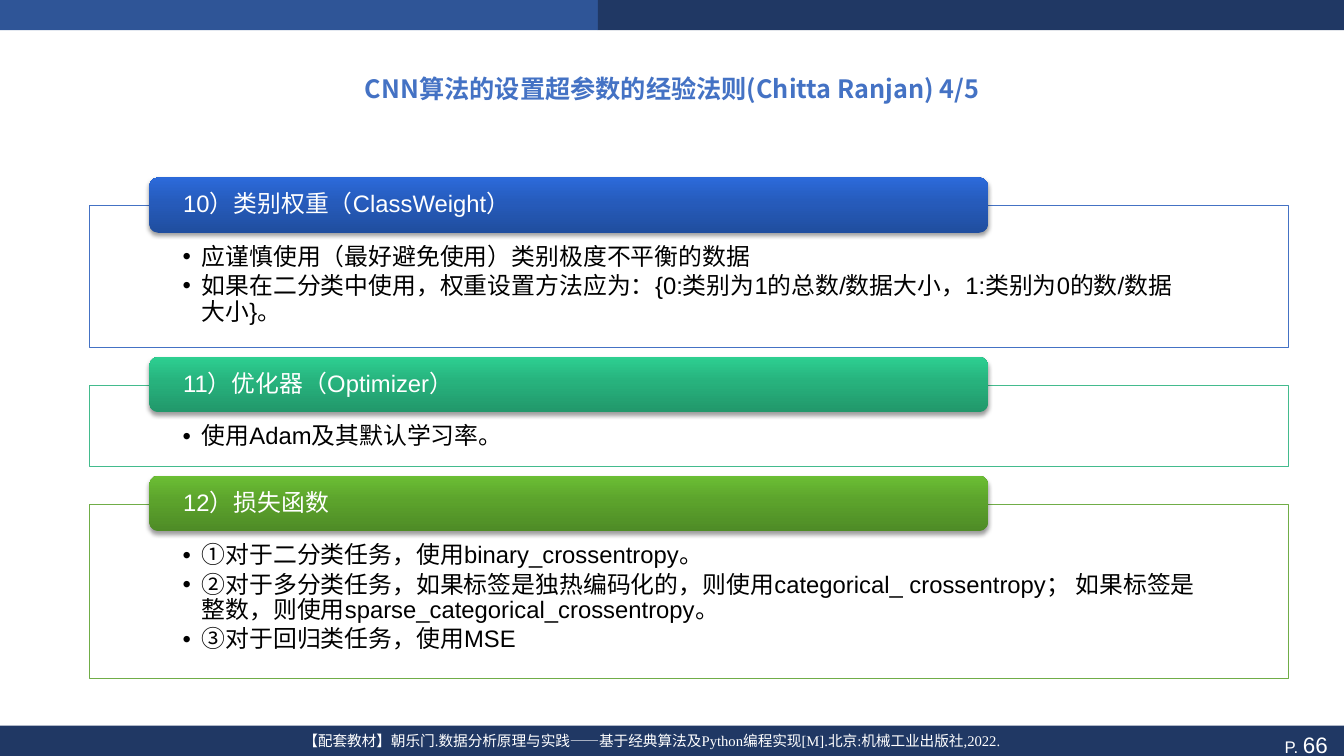
"""Build the slide on rules of thumb for CNN hyperparameters, part 4 of 5."""
from copy import deepcopy

from lxml.etree import SubElement
from pptx import Presentation
from pptx.dml.color import RGBColor
from pptx.enum.shapes import MSO_SHAPE as Shape
from pptx.enum.text import MSO_ANCHOR as Anchor, MSO_AUTO_SIZE as AutoSize, PP_ALIGN as Align
from pptx.oxml.ns import qn
from pptx.util import Inches, Pt

CJK = "Noto Sans CJK SC"


def rgb(code):
    return RGBColor.from_string(code)


def write(paragraph, text, size, color, latin="Arial", bold=False):
    run = paragraph.add_run()
    run.text = text
    formats = {"size": Pt(size), "name": latin, "bold": bold}
    for key, value in formats.items():
        setattr(run.font, key, value)
    run.font.color.rgb = rgb(color)
    SubElement(run.font._element, qn("a:ea"), typeface=CJK)


deck = Presentation()
deck.slide_width, deck.slide_height = Inches(13.33), Inches(7.5)
slide = deck.slides.add_slide(deck.slide_layouts[5])
shapes = slide.shapes

bands = [
    (0, 0, 5.93, 0.3, "2F5597"),
    (5.93, 0, 7.4, 0.3, "203864"),
    (0, 7.2, 13.33, 0.37, "203864"),
]
for *place, color in bands:
    band = shapes.add_shape(Shape.RECTANGLE, *map(Inches, place))
    band.shadow.inherit = False
    band.fill.solid()
    band.fill.fore_color.rgb = rgb(color)
    band.line.fill.background()
page_number = band.text_frame.paragraphs[0]
page_number.alignment = Align.RIGHT
write(page_number, "P. ", 12, "FFFFFF")
write(page_number, "66 ", 16, "FFFFFF")

citation = shapes.add_textbox(*map(Inches, (0.6, 7.21, 11.73, 0.35))).text_frame
citation.word_wrap = True
citation_line = citation.paragraphs[0]
citation_line.alignment = Align.CENTER
citation_props = citation_line._p.get_or_add_pPr()
citation_props.set("marL", str(Inches(0.38)))
citation_props.set("indent", str(Inches(-0.38)))
write(citation_line,
      "【配套教材】朝乐门.数据分析原理与实践——基于经典算法及Python编程实现[M].北京:机械工业出版社,2022.",
      10.5, "FFFFFF", "Times New Roman")

title = shapes.title
title.left, title.top, title.width, title.height = map(Inches, (0.44, 0.43, 12.45, 0.9))
title.text_frame.auto_size = AutoSize.NONE
title.text_frame.vertical_anchor = Anchor.MIDDLE
title_line = title.text_frame.paragraphs[0]
title_line.alignment = Align.CENTER
write(title_line, "CNN算法的设置超参数的经验法则(Chitta Ranjan) 4/5", 18, "4472C4", CJK, True)

rules = [
    ("10）类别权重（ClassWeight）", 1.41, "4472C4", ("204E9F", "265BBB", "2C6ADA"),
     ["应谨慎使用（最好避免使用）类别极度不平衡的数据",
      "如果在二分类中使用，权重设置方法应为：{0:类别为1的总数/数据大小，1:类别为0的数/数据大小}。"]),
    ("11）优化器（Optimizer）", 0.81, "43BB8D", ("21976A", "27B27D", "2DCF91"),
     ["使用Adam及其默认学习率。"]),
    ("12）损失函数", 1.73, "70AD47", ("4E8B26", "5CA32C", "6BBE34"),
     ["①对于二分类任务，使用binary_crossentropy。",
      "②对于多分类任务，如果标签是独热编码化的，则使用categorical_ crossentropy； "
      "如果标签是整数，则使用sparse_categorical_crossentropy。",
      "③对于回归类任务，使用MSE"]),
]
panel_gap = 0.37
panel_top = 2.04
for heading, panel_height, outline, gradient, advice in rules:
    panel = shapes.add_shape(Shape.RECTANGLE, *map(Inches, (0.89, panel_top, 11.89, panel_height)))
    panel.shadow.inherit = False
    panel.fill.solid()
    panel.fill.fore_color.rgb = rgb("FFFFFF")
    SubElement(panel._element.spPr.find(".//" + qn("a:srgbClr")), qn("a:alpha"), val="90000")
    panel.line.color.rgb = rgb(outline)
    panel.line.width = Pt(0.5)
    panel_format = {"margin_left": Inches(0.92), "margin_right": Inches(0.92),
                    "margin_top": Inches(0.39), "margin_bottom": Inches(0.13),
                    "vertical_anchor": Anchor.TOP, "word_wrap": True}
    for key, value in panel_format.items():
        setattr(panel.text_frame, key, value)
    for index, sentence in enumerate(advice):
        point = panel.text_frame.add_paragraph() if index else panel.text_frame.paragraphs[0]
        point_props = point._p.get_or_add_pPr()
        point_props.set("marL", str(Inches(0.19)))
        point_props.set("indent", str(Inches(-0.19)))
        point.alignment = Align.LEFT
        point.line_spacing = 0.9
        point.space_after = Pt(2.5)
        SubElement(point_props, qn("a:buFont"), typeface="Arial")
        SubElement(point_props, qn("a:buChar"), char="•")
        write(point, sentence, 17, "000000")

    header = shapes.add_shape(Shape.ROUNDED_RECTANGLE,
                              *map(Inches, (1.48, panel_top - 0.28, 8.32, 0.55)))
    header.line.fill.background()
    header.fill.gradient()
    header.fill.gradient_angle = 90
    stop_list = header._element.spPr.find(".//" + qn("a:gsLst"))
    stop_list.append(deepcopy(stop_list[0]))
    for stop, position, color in zip(header.fill.gradient_stops, (0, 0.55, 1), gradient):
        stop.position = position
        stop.color.rgb = rgb(color)
    header.shadow.inherit = False
    effects = header._element.spPr.find(qn("a:effectLst"))
    shadow = SubElement(effects, qn("a:outerShdw"), blurRad=str(Pt(3.1)), dist=str(Pt(2)),
                        dir="5400000", algn="ctr", rotWithShape="0")
    shadow_color = SubElement(shadow, qn("a:srgbClr"), val="000000")
    SubElement(shadow_color, qn("a:alpha"), val="38000")
    header_format = {"margin_left": Inches(0.31), "margin_right": Inches(0.31),
                     "margin_top": 0, "margin_bottom": 0,
                     "vertical_anchor": Anchor.MIDDLE, "word_wrap": True}
    for key, value in header_format.items():
        setattr(header.text_frame, key, value)
    heading_line = header.text_frame.paragraphs[0]
    heading_line.alignment = Align.LEFT
    heading_line.line_spacing = 0.9
    write(heading_line, heading, 17, "FFFFFF")
    panel_top += panel_height + panel_gap

deck.save("out.pptx")
